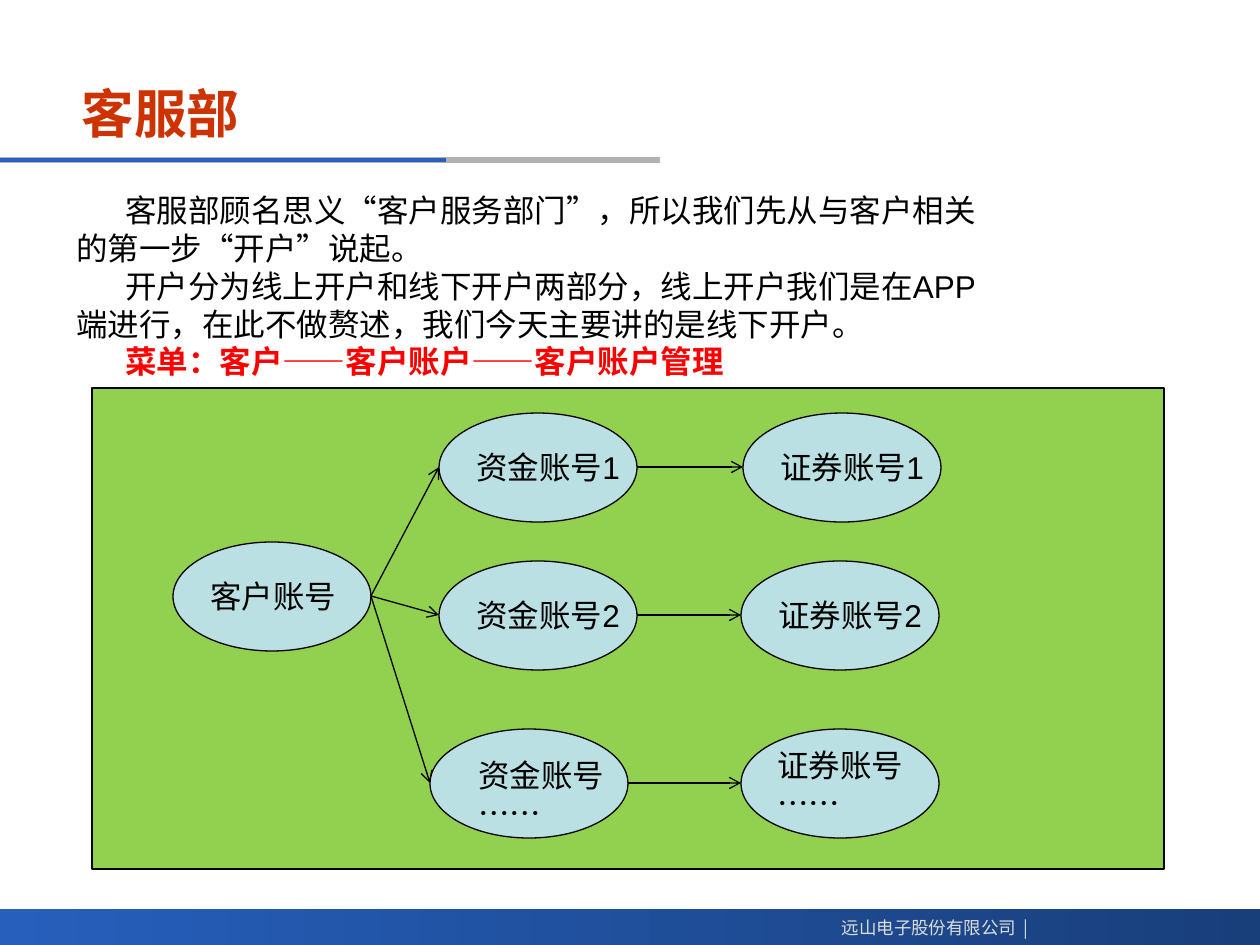
from typing import NamedTuple

from lxml.etree import SubElement
from pptx import Presentation
from pptx.dml.color import RGBColor
from pptx.enum.shapes import MSO_CONNECTOR as Connector, MSO_SHAPE as Shape
from pptx.enum.text import MSO_ANCHOR as Anchor, MSO_AUTO_SIZE as AutoSize, PP_ALIGN as Align
from pptx.oxml.ns import qn
from pptx.util import Emu, Pt

EMU_PER_PX = 914400 / 126
BODY = {"name": "Arial", "size": Pt(18), "bold": False}
TITLE = {"name": "Arial", "size": Pt(30), "bold": True}
FOOTER = {"name": "Noto Sans CJK SC", "size": Pt(10)}
BLACK, RED = "000000", "FF0000"
OVAL_WIDTH, OVAL_HEIGHT = 198, 109
BODY_INDENT = 49


class Account(NamedTuple):
    label: str
    left: int
    top: int
    text_dx: int = 25
    text_dy: int = 29
    text_width: int = 189


class Rule(NamedTuple):
    start: tuple[int, int]
    end: tuple[int, int]
    color: str
    width: float


CUSTOMER = Account("客户账号", 173, 542, text_width=169)
FUNDS = [
    Account("资金账号1", 439, 413),
    Account("资金账号2", 439, 561),
    Account("资金账号\n……", 430, 729, 36, 21, 218),
]
SECURITIES = [
    Account("证券账号1", 743, 413),
    Account("证券账号2", 741, 561),
    Account("证券账号\n……", 741, 729, 24, 11),
]
HEADER_RULES = [
    Rule((0, 160), (660, 160), "B2B2B2", 3),
    Rule((0, 160), (446, 160), "2A60C0", 2.25),
]
PARAGRAPHS = [
    ("客服部顾名思义“客户服务部门”，所以我们先从与客户相关的第一步“开户”说起。", BLACK, False),
    ("开户分为线上开户和线下开户两部分，线上开户我们是在APP端进行，在此不做赘述，"
     "我们今天主要讲的是线下开户。", BLACK, False),
    ("菜单：客户——客户账户——客户账户管理", RED, True),
]


def px(value: int) -> Emu:
    return Emu(round(value * EMU_PER_PX))


def rgb(color: str) -> RGBColor:
    return RGBColor.from_string(color)


def format_font(font, values: dict, color: str) -> None:
    for name, value in values.items():
        setattr(font, name, value)
    font.color.rgb = rgb(color)


def add_panel(slide, kind, left: int, top: int, width: int, height: int, fill: str):
    panel = slide.shapes.add_shape(kind, px(left), px(top), px(width), px(height))
    panel.shadow.inherit = False
    panel.fill.solid()
    panel.fill.fore_color.rgb = rgb(fill)
    panel.line.color.rgb = rgb(BLACK)
    panel.line.width = Pt(0.75)
    return panel


def add_text_box(slide, left: int, top: int, width: int, height: int, wrap: bool = True):
    box = slide.shapes.add_textbox(px(left), px(top), px(width), px(height))
    box.text_frame.word_wrap = wrap
    box.text_frame.auto_size = AutoSize.SHAPE_TO_FIT_TEXT
    return box.text_frame


def add_line(slide, rule: Rule, arrow: bool = False) -> None:
    ends = [px(value) for value in (*rule.start, *rule.end)]
    line = slide.shapes.add_connector(Connector.STRAIGHT, *ends)
    line.line.color.rgb = rgb(rule.color)
    line.line.width = Pt(rule.width)
    if arrow:
        SubElement(line.line._get_or_add_ln(), qn("a:tailEnd"), type="arrow")
    SubElement(line._element.spPr, qn("a:effectLst"))


def add_account(slide, account: Account) -> None:
    add_panel(slide, Shape.OVAL, account.left, account.top, OVAL_WIDTH, OVAL_HEIGHT, "BBE0E3")
    height = 88 if "\n" in account.label else 50
    frame = add_text_box(slide, account.left + account.text_dx, account.top + account.text_dy,
                         account.text_width, height)
    para = frame.paragraphs[0]
    para.text = account.label
    for span in para.runs:
        format_font(span.font, BODY, BLACK)


def link_accounts(slide, source: Account, target: Account) -> None:
    """Draw an arrow from the right tip of one oval to the left tip of another."""
    middle = OVAL_HEIGHT // 2
    start = (source.left + OVAL_WIDTH, source.top + middle)
    add_line(slide, Rule(start, (target.left, target.top + middle), BLACK, 0.75), arrow=True)


def add_frame(slide) -> None:
    """Add the footer band, the footer text and the rules under the title."""
    band = add_panel(slide, Shape.RECTANGLE, 0, 909, 1260, 36, "265FBC")
    band.line.fill.background()
    band.fill.gradient()
    band.fill.gradient_angle = 0
    for stop, color in zip(band.fill.gradient_stops, ("265FBC", "193F7B")):
        stop.color.rgb = rgb(color)
    for rule in HEADER_RULES:
        add_line(slide, rule)
    para = add_text_box(slide, 820, 911, 221, 34, wrap=False).paragraphs[0]
    para.alignment = Align.RIGHT
    span = para.add_run()
    span.text = "远山电子股份有限公司  |"
    format_font(span.font, FOOTER, "DDDDDD")


def set_title(slide, text: str) -> None:
    title = slide.shapes.title
    title.left, title.top, title.width, title.height = map(px, (69, 71, 872, 84))
    frame = title.text_frame
    frame.text = text
    frame.vertical_anchor = Anchor.MIDDLE
    frame.paragraphs[0].alignment = Align.LEFT
    format_font(frame.paragraphs[0].runs[0].font, TITLE, "CC3300")


def add_body(slide) -> None:
    frame = add_text_box(slide, 64, 185, 953, 202)
    for index, (text, color, bold) in enumerate(PARAGRAPHS):
        para = frame.add_paragraph() if index else frame.paragraphs[0]
        para._p.get_or_add_pPr().set("indent", str(px(BODY_INDENT)))
        span = para.add_run()
        span.text = text
        format_font(span.font, BODY | {"bold": bold}, color)


def main() -> None:
    deck = Presentation()
    deck.slide_width, deck.slide_height = px(1260), px(945)
    slide = deck.slides.add_slide(deck.slide_layouts[5])
    add_frame(slide)
    add_panel(slide, Shape.RECTANGLE, 92, 388, 1072, 481, "92D050")
    set_title(slide, "客服部")
    add_body(slide)
    for account in (CUSTOMER, *FUNDS, *SECURITIES):
        add_account(slide, account)
    for fund, security in zip(FUNDS, SECURITIES):
        link_accounts(slide, CUSTOMER, fund)
        link_accounts(slide, fund, security)
    deck.save("out.pptx")


if __name__ == "__main__":
    main()
